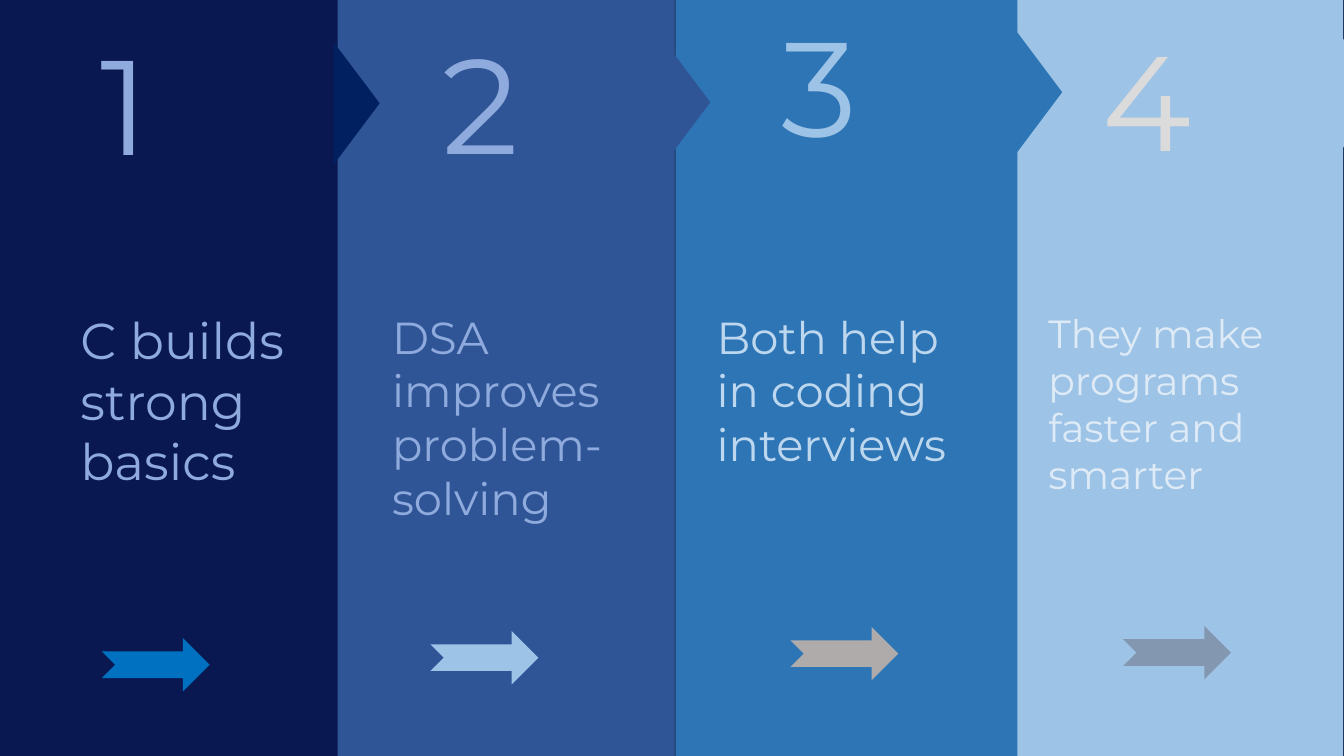
from dataclasses import dataclass

import pptx
import pptx.dml.color
import pptx.enum.shapes
import pptx.enum.text
import pptx.shapes.autoshape
import pptx.shapes.shapetree
import pptx.util

Inches = pptx.util.Inches
RGBColor = pptx.dml.color.RGBColor
Shape = pptx.enum.shapes.MSO_SHAPE

FONT = "Montserrat"
BACKGROUND = RGBColor(0x20, 0x38, 0x64)
NAVY = RGBColor(0x0A, 0x18, 0x52)
DEEP_BLUE = RGBColor(0x00, 0x20, 0x60)
INDIGO = RGBColor(0x2F, 0x55, 0x97)
BLUE = RGBColor(0x2E, 0x75, 0xB6)
BRIGHT_BLUE = RGBColor(0x00, 0x70, 0xC0)
SKY = RGBColor(0x9D, 0xC3, 0xE6)
PERIWINKLE = RGBColor(0x8F, 0xAA, 0xDC)
PALE_BLUE = RGBColor(0xBD, 0xD7, 0xEE)
ICE = RGBColor(0xDE, 0xEB, 0xF7)
SILVER = RGBColor(0xDB, 0xDB, 0xDB)
WARM_GREY = RGBColor(0xAF, 0xAB, 0xAB)
SLATE = RGBColor(0x84, 0x97, 0xB0)

Box = tuple[float, float, float, float]
NUMBER_SIZE = (1.52, 1.78)
POINTER_SIZE = (1.2, 0.45)
ARROW_SIZE = (1.07, 0.53)
STATEMENT_TOP = 3.02


@dataclass(frozen=True)
class Panel:
    number: str
    statement: str
    strip: Box
    strip_color: RGBColor
    pointer_at: tuple[float, float]
    pointer_color: RGBColor
    number_at: tuple[float, float]
    number_color: RGBColor
    statement_left: float
    statement_size: tuple[float, float]
    statement_points: int
    statement_color: RGBColor
    arrow_at: tuple[float, float]
    arrow_color: RGBColor


PANELS = [
    Panel("1", "C builds strong basics", (-0.04, -0.48, 3.39, 8.04), NAVY,
          (2.94, 0.8), DEEP_BLUE, (0.9, 0.16), PERIWINKLE,
          0.7, (2.23, 2.62), 36, PERIWINKLE, (1.01, 6.33), BRIGHT_BLUE),
    Panel("2", "DSA improves problem-solving", (3.34, -0.48, 3.35, 8.03), INDIGO,
          (6.22, 0.79), INDIGO, (4.29, 0.15), PERIWINKLE,
          3.79, (2.47, 2.34), 32, PERIWINKLE, (4.27, 6.26), SKY),
    Panel("3", "Both help in coding interviews", (6.7, -0.39, 3.39, 8.03), BLUE,
          (9.71, 0.69), BLUE, (7.65, -0.02), SKY,
          7.01, (2.86, 1.78), 32, PALE_BLUE, (7.84, 6.22), WARM_GREY),
    Panel("4", "They make programs faster and smarter", (10.04, -0.48, 3.28, 8.03), SKY,
          (12.9, 0.7), SKY, (10.84, 0.12), SILVER,
          10.3, (2.61, 2.06), 28, ICE, (11.14, 6.21), SLATE),
]


def add_block(shapes: pptx.shapes.shapetree._BaseGroupShapes, kind: Shape, box: Box,
              color: RGBColor, rotation: float = 0) -> pptx.shapes.autoshape.Shape:
    block = shapes.add_shape(kind, *map(Inches, box))
    block.fill.solid()
    block.fill.fore_color.rgb = color
    block.line.fill.background()
    block.shadow.inherit = False
    block.rotation = rotation
    return block


def add_text(shapes: pptx.shapes.shapetree._BaseGroupShapes, text: str, *, box: Box,
             points: int, color: RGBColor) -> pptx.shapes.autoshape.Shape:
    text_box = shapes.add_textbox(*map(Inches, box))
    frame = text_box.text_frame
    frame.word_wrap = True
    frame.auto_size = pptx.enum.text.MSO_AUTO_SIZE.SHAPE_TO_FIT_TEXT
    span = frame.paragraphs[0].add_run()
    span.text = text
    span.font.name = FONT
    span.font.size = pptx.util.Pt(points)
    span.font.color.rgb = color
    return text_box


def add_panel(page: pptx.slide.Slide, panel: Panel) -> None:
    shapes = page.shapes.add_group_shape().shapes
    add_block(shapes, Shape.RECTANGLE, panel.strip, panel.strip_color)
    add_block(shapes, Shape.ISOSCELES_TRIANGLE, panel.pointer_at + POINTER_SIZE,
              panel.pointer_color, rotation=90)
    add_text(shapes, panel.number, box=panel.number_at + NUMBER_SIZE,
             points=96, color=panel.number_color)
    add_text(shapes, panel.statement,
             box=(panel.statement_left, STATEMENT_TOP) + panel.statement_size,
             points=panel.statement_points, color=panel.statement_color)


def main() -> None:
    deck = pptx.Presentation()
    deck.slide_width = Inches(13.33)
    deck.slide_height = Inches(7.5)
    page = deck.slides.add_slide(deck.slide_layouts[6])
    page.background.fill.solid()
    page.background.fill.fore_color.rgb = BACKGROUND

    # Panels run right to left, so each pointer overlaps the next strip
    for panel in reversed(PANELS):
        add_panel(page, panel)

    # Arrows along the bottom
    for panel in PANELS:
        add_block(page.shapes, Shape.NOTCHED_RIGHT_ARROW,
                  panel.arrow_at + ARROW_SIZE, panel.arrow_color)

    deck.save("out.pptx")


if __name__ == "__main__":
    main()
